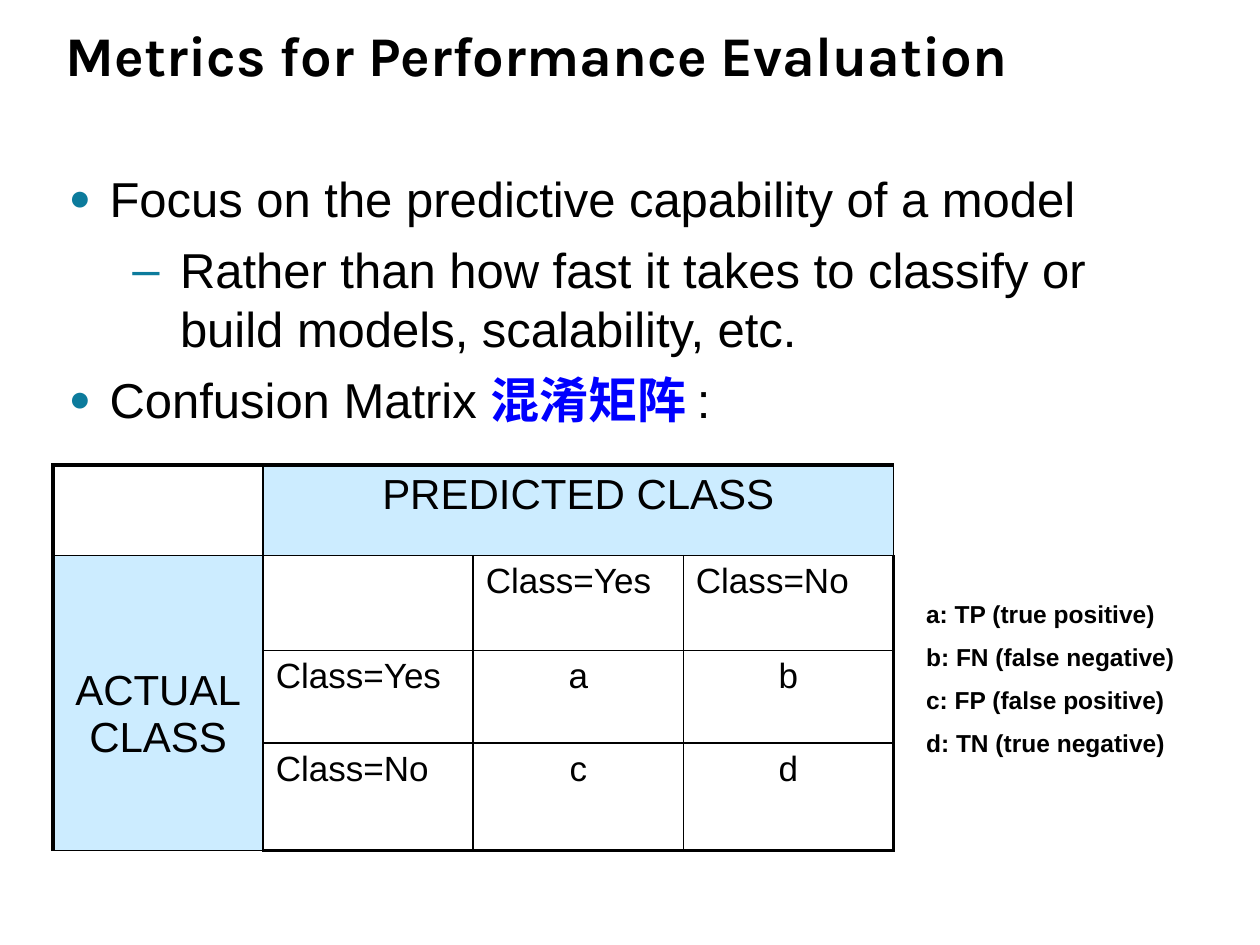
import dataclasses

import pptx
import pptx.dml.color
import pptx.enum.text
import pptx.oxml.ns
import pptx.util
from lxml import etree

Cm, Pt = pptx.util.Cm, pptx.util.Pt
ALIGN = pptx.enum.text.PP_ALIGN
ANCHOR = pptx.enum.text.MSO_ANCHOR


@dataclasses.dataclass(frozen=True)
class Theme:
    """Keep the colours, fonts and type sizes."""
    ink: str = "000000"
    mark: str = "0C7B9C"
    term: str = "0000FF"
    tint: str = "CCECFF"
    face: str = "Arial"
    head: str = "Karla"
    title: int = 32
    body: int = 28
    label: int = 24
    cell: int = 20
    note: int = 14
    thin: float = 1
    thick: float = 2.25


LOOK = Theme()
ITEMS = [
    (0, [("Focus on the predictive capability of a model", False)]),
    (1, [("Rather than how fast it takes to classify or build models, "
          "scalability, etc.", False)]),
    (0, [("Confusion Matrix ", False), ("混淆矩阵", True), (" :", False)]),
]
BULLETS = [("●", 75, 0.82, -0.82), ("–", 100, 2.24, -0.96)]
GRID = [
    ["", "PREDICTED CLASS", "", ""],
    ["ACTUAL\nCLASS", "", "Class=Yes", "Class=No"],
    ["", "Class=Yes", "a", "b"],
    ["", "Class=No", "c", "d"],
]
ROWS = [1.83, 1.91, 1.87, 2.16]
NOTES = ["a: TP (true positive)", "b: FN (false negative)",
         "c: FP (false positive)", "d: TN (true negative)"]


def rgb(code):
    """Turn a hex code into a colour."""
    return pptx.dml.color.RGBColor.from_string(code)


def sub(node, tag, **attrs):
    """Add a drawing element under a node."""
    child = etree.SubElement(node, pptx.oxml.ns.qn("a:" + tag))
    for key, val in attrs.items():
        child.set(key, str(val))
    return child


def add_run(para, text, size, color=LOOK.ink, bold=False, face=LOOK.face):
    """Add one styled run to a paragraph."""
    run = para.add_run()
    run.text = text
    font = run.font
    font.name, font.size, font.bold = face, Pt(size), bold
    font.color.rgb = rgb(color)


def add_box(slide, left, top, width, height):
    """Add a wrapping text box and return its frame."""
    box = slide.shapes.add_textbox(Cm(left), Cm(top), Cm(width), Cm(height))
    box.text_frame.word_wrap = True
    return box.text_frame


def add_para(frame, first, before):
    """Return the next paragraph, with space before all but the first."""
    para = frame.paragraphs[0] if first else frame.add_paragraph()
    if not first:
        para.space_before = Pt(before)
    return para


def set_mark(para, level):
    """Give a paragraph the bullet and indent of its level."""
    char, size, left, hang = BULLETS[level]
    para.level = level
    props = para._p.get_or_add_pPr()
    props.set("marL", str(Cm(left)))
    props.set("indent", str(Cm(hang)))
    sub(sub(props, "buClr"), "srgbClr", val=LOOK.mark)
    sub(props, "buSzPct", val=size * 1000)
    sub(props, "buFont", typeface=LOOK.face)
    sub(props, "buChar", char=char)


def add_title(slide, text):
    """Add the slide title."""
    frame = add_box(slide, 1.07, 0.43, 23.01, 1.47)
    frame.vertical_anchor = ANCHOR.BOTTOM
    para = frame.paragraphs[0]
    para.line_spacing = Pt(36)
    add_run(para, text, LOOK.title, bold=True, face=LOOK.head)


def add_list(slide, items):
    """Add the bulleted list."""
    frame = add_box(slide, 1.14, 3.28, 23.11, 14.3)
    for num, (level, runs) in enumerate(items):
        para = add_para(frame, num == 0, 3)
        para.space_after = Pt(4)
        set_mark(para, level)
        for text, term in runs:
            add_run(para, text, LOOK.body, LOOK.term if term else LOOK.ink, term)


def add_notes(slide, lines):
    """Add the key to the matrix letters."""
    frame = add_box(slide, 18.42, 11.96, 6.15, 3.5)
    for num, line in enumerate(lines):
        para = add_para(frame, num == 0, 7.7)
        add_run(para, line, LOOK.note, bold=True)


def set_edges(cell, row, col, last):
    """Draw thick outer and thin inner borders on a cell."""
    props = cell._tc.get_or_add_tcPr()
    outer = {"lnL": col == 0, "lnR": col == last,
             "lnT": row == 0, "lnB": row == last}
    for num, (tag, edge) in enumerate(outer.items()):
        width = Pt(LOOK.thick if edge else LOOK.thin)
        line = etree.Element(pptx.oxml.ns.qn("a:" + tag), w=str(width))
        sub(sub(line, "solidFill"), "srgbClr", val=LOOK.ink)
        props.insert(num, line)


def fill_cell(cell, text, row, col):
    """Set the text and fill of a cell."""
    label = (row == 0) != (col == 0)
    if label:
        cell.fill.solid()
        cell.fill.fore_color.rgb = rgb(LOOK.tint)
    else:
        cell.fill.background()
    if not text:
        return
    para = cell.text_frame.paragraphs[0]
    if label or len(text) == 1:
        para.alignment = ALIGN.CENTER
    for num, line in enumerate(text.split("\n")):
        if num:
            para.add_line_break()
        add_run(para, line, LOOK.label if label else LOOK.cell)


def add_matrix(slide, grid):
    """Add the confusion matrix table."""
    size = len(grid)
    table = slide.shapes.add_table(size, size, Cm(1.07), Cm(9.37),
                                   Cm(16.94), Cm(sum(ROWS))).table
    table.first_row = table.horz_banding = False
    for row, high in enumerate(ROWS):
        table.rows[row].height = Cm(high)
        for col, text in enumerate(grid[row]):
            cell = table.cell(row, col)
            fill_cell(cell, text, row, col)
            set_edges(cell, row, col, size - 1)
    table.cell(0, 1).merge(table.cell(0, size - 1))
    side = table.cell(1, 0)
    side.merge(table.cell(size - 1, 0))
    side.vertical_anchor = ANCHOR.MIDDLE
    side.margin_top = Cm(0.58)


def main():
    """Build and save the slide."""
    deck = pptx.Presentation()
    deck.slide_width, deck.slide_height = Cm(25.4), Cm(19.05)
    slide = deck.slides.add_slide(deck.slide_layouts[6])
    add_title(slide, "Metrics for Performance Evaluation")
    add_list(slide, ITEMS)
    add_matrix(slide, GRID)
    add_notes(slide, NOTES)
    deck.save("out.pptx")


if __name__ == "__main__":
    main()
